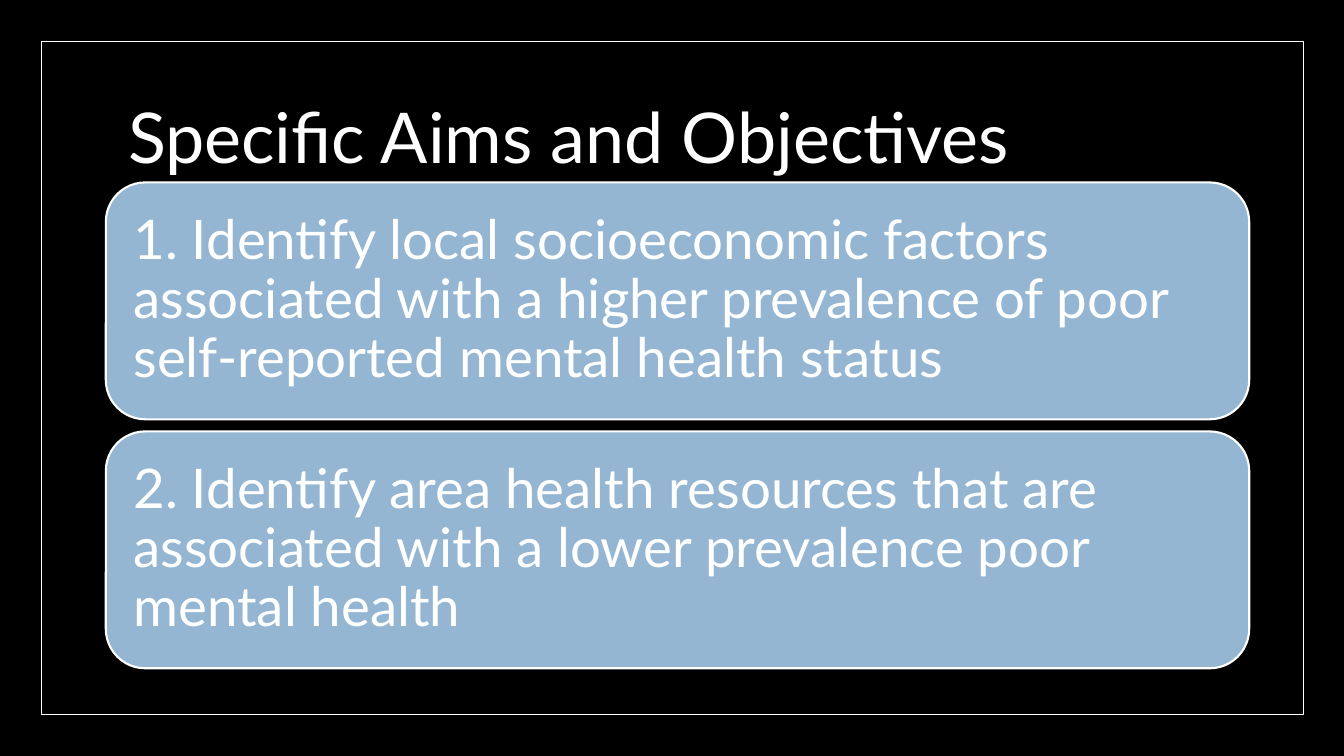
"""Build the Specific Aims and Objectives slide."""
from dataclasses import dataclass

from lxml import etree
from pptx import Presentation
from pptx.dml.color import RGBColor
from pptx.enum import shapes, text
from pptx.oxml import ns
from pptx.util import Inches, Pt

HEADING = "Specific Aims and Objectives"
AIMS = [
    "1. Identify local socioeconomic factors associated with a higher prevalence "
    "of poor self-reported mental health status",
    "2. Identify area health resources that are associated with a lower prevalence "
    "poor mental health",
]
SLIDE_SIZE = (13.33, 7.5)
HEADING_BOX = (1.17, 0.65, 11, 1.5)
CARD_LEFT, CARD_TOP, CARD_WIDTH, CARD_HEIGHT, CARD_GAP = 1.05, 1.81, 11.34, 2.35, 0.12
CARD_INSET = 0.16


@dataclass(frozen=True)
class Theme:
    """Colours, font and type sizes of the slide."""
    black: RGBColor = RGBColor(0x00, 0x00, 0x00)
    white: RGBColor = RGBColor(0xFF, 0xFF, 0xFF)
    blue: RGBColor = RGBColor(0x94, 0xB6, 0xD2)
    font: str = "Lato"
    heading_size: int = 50
    aim_size: int = 39


THEME = Theme()


def add_panel(slide, kind, box, fill=None, line_width=None):
    """Add a shadowless shape with an optional fill and white outline."""
    panel = slide.shapes.add_shape(kind, *map(Inches, box))
    panel.shadow.inherit = False
    if fill is None:
        panel.fill.background()
    else:
        panel.fill.solid()
        panel.fill.fore_color.rgb = fill
    if line_width is None:
        panel.line.fill.background()
    else:
        panel.line.color.rgb = THEME.white
        panel.line.width = Pt(line_width)
    return panel


def write(shape, words, size):
    """Set left-aligned white text in the middle of a shape."""
    frame = shape.text_frame
    frame.word_wrap = True
    frame.auto_size = text.MSO_AUTO_SIZE.NONE
    frame.vertical_anchor = text.MSO_ANCHOR.MIDDLE
    frame.text = words
    paragraph = frame.paragraphs[0]
    paragraph.alignment = text.PP_ALIGN.LEFT
    paragraph.line_spacing = 0.9
    paragraph.font.name = THEME.font
    paragraph.font.size = Pt(size)
    paragraph.font.color.rgb = THEME.white
    return frame


def add_backdrop(slide):
    """Add the black layers and the thin white border."""
    slide.background.fill.solid()
    slide.background.fill.fore_color.rgb = THEME.black
    rectangle = shapes.MSO_SHAPE.RECTANGLE
    add_panel(slide, rectangle, (0, 0, *SLIDE_SIZE), THEME.black)
    veil = add_panel(slide, rectangle, (0.26, 0.26, 12.82, 6.98), THEME.black)
    veil_colour = veil.element.spPr.find(ns.qn("a:solidFill"))[0]
    etree.SubElement(veil_colour, ns.qn("a:alpha"), val="90000")
    add_panel(slide, rectangle, (0.41, 0.41, 12.52, 6.68), line_width=0.5)


def add_heading(slide):
    """Fill the title placeholder and lift it above the backdrop."""
    heading = slide.shapes.title
    heading.left, heading.top, heading.width, heading.height = map(Inches, HEADING_BOX)
    write(heading, HEADING, THEME.heading_size)
    heading.element.getparent().append(heading.element)


def add_aims(slide):
    """Stack one rounded card per aim."""
    for row, aim in enumerate(AIMS):
        top = CARD_TOP + row * (CARD_HEIGHT + CARD_GAP)
        card = add_panel(slide, shapes.MSO_SHAPE.ROUNDED_RECTANGLE,
                         (CARD_LEFT, top, CARD_WIDTH, CARD_HEIGHT), THEME.blue, 1.5)
        frame = write(card, aim, THEME.aim_size)
        frame.margin_left = frame.margin_right = Inches(CARD_INSET)
        frame.margin_top = frame.margin_bottom = Inches(CARD_INSET)


def main():
    """Assemble and save the slide."""
    deck = Presentation()
    deck.slide_width, deck.slide_height = map(Inches, SLIDE_SIZE)
    slide = deck.slides.add_slide(deck.slide_layouts[5])
    add_backdrop(slide)
    add_heading(slide)
    add_aims(slide)
    deck.save("out.pptx")


if __name__ == "__main__":
    main()
